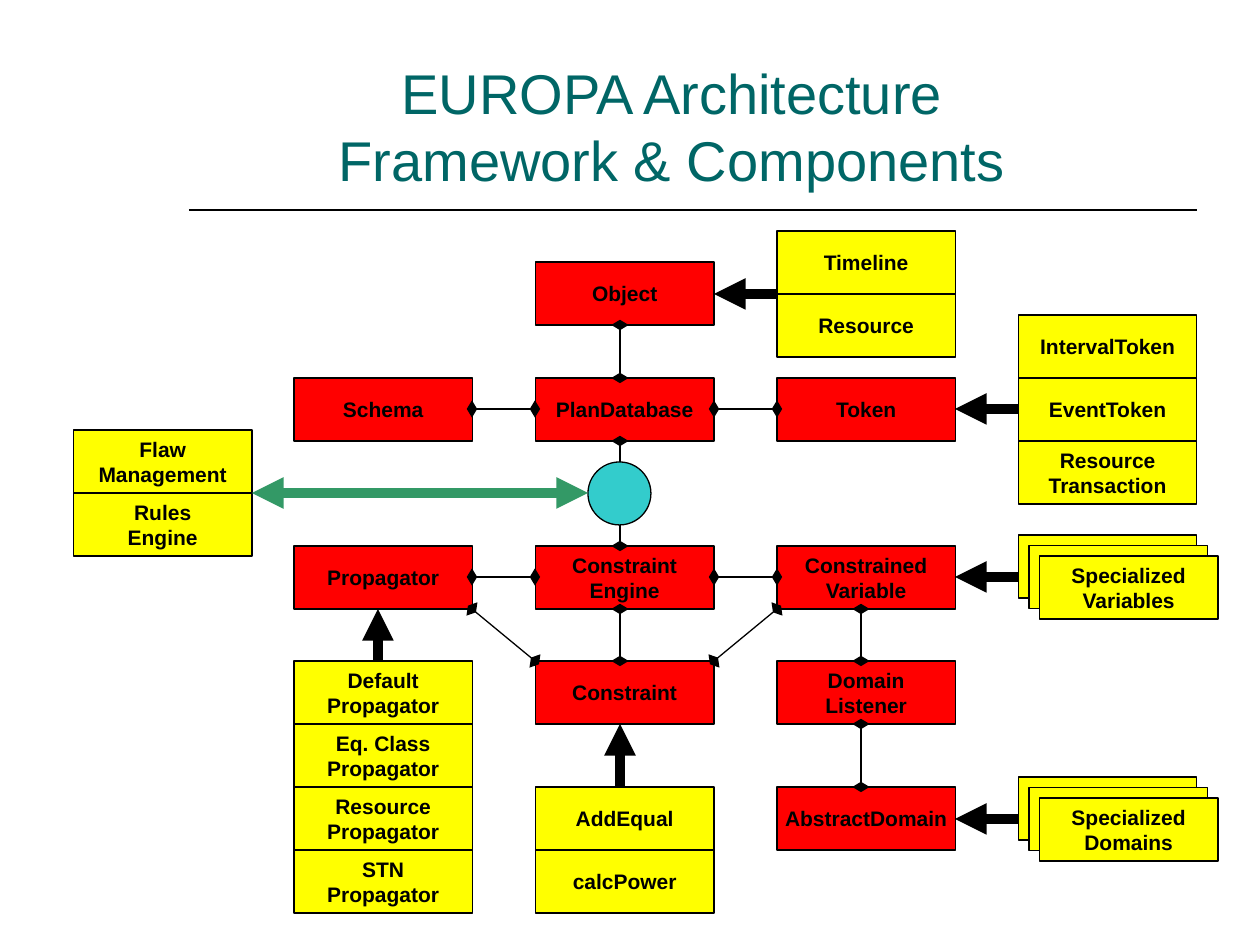
import pptx
import pptx.util
import pptx.dml.color
import pptx.enum.shapes
import pptx.enum.text
import pptx.oxml
import pptx.oxml.ns

PX = 914400 // 126
W, H = 178.5, 63
COLORS = {"title": "006666", "core": "FF0000", "component": "FFFF00",
          "hub": "33CCCC", "link": "339966", "ink": "000000"}
TITLE = "EUROPA Architecture\vFramework & Components"
COLS = [73.5, 294, 535.5, 777, 1018.5]

CORE = [(2, 262, "Object"), (1, 378, "Schema"), (2, 378, "PlanDatabase"),
        (3, 378, "Token"), (1, 546, "Propagator"), (2, 546, "Constraint\nEngine"),
        (3, 546, "Constrained\nVariable"), (2, 661, "Constraint"),
        (3, 661, "Domain\nListener"), (3, 787, "AbstractDomain")]
STACKS = [(0, 430, ["Flaw\nManagement", "Rules\nEngine"]),
          (3, 231, ["Timeline", "Resource"]),
          (4, 315, ["IntervalToken", "EventToken", "Resource\nTransaction"]),
          (1, 661, ["Default\nPropagator", "Eq. Class\nPropagator",
                    "Resource\nPropagator", "STN\nPropagator"]),
          (2, 787, ["AddEqual", "calcPower"])]
PILES = [(4, 535, "Specialized\nVariables"), (4, 777, "Specialized\nDomains")]
PILE_STEP = 10.5

INHERITS = [(714, 294, 777, 294), (955, 409, 1018, 409), (955, 577, 1018, 577),
            (955, 819, 1018, 819), (378, 609, 378, 661), (620, 724, 620, 787)]
RELATES = [(620, 325, 620, 378), (472, 409, 535, 409), (714, 409, 777, 409),
           (620, 441, 620, 546), (472, 577, 535, 577), (714, 577, 777, 577),
           (472, 609, 535, 661), (620, 609, 620, 661), (777, 609, 714, 661),
           (861, 609, 861, 661), (861, 724, 861, 787)]
RULE = (189, 210, 1197, 210)
HUB = (588, 462, 63, 63)
HUB_LINK = (588, 493, 252, 493)


def px(*values):
    return [round(v * PX) for v in values]


def rgb(name):
    return pptx.dml.color.RGBColor.from_string(COLORS[name])


def style_text(tf, text, size, color, bold):
    tf.text = text
    for p in tf.paragraphs:
        p.alignment = pptx.enum.text.PP_ALIGN.CENTER
        p.font.name = "Arial"
        p.font.size = pptx.util.Pt(size)
        p.font.bold = bold
        p.font.color.rgb = rgb(color)


def add_shape(kind, box, fill, text=""):
    sp = s.shapes.add_shape(kind, *px(*box))
    sp.shadow.inherit = False
    sp.fill.solid()
    sp.fill.fore_color.rgb = rgb(fill)
    sp.line.color.rgb = rgb("ink")
    sp.line.width = pptx.util.Pt(0.75)
    if text:
        tf = sp.text_frame
        tf.word_wrap = False
        tf.vertical_anchor = pptx.enum.text.MSO_ANCHOR.MIDDLE
        style_text(tf, text, 12, "ink", True)


def add_box(x, y, fill, text=""):
    add_shape(pptx.enum.shapes.MSO_SHAPE.RECTANGLE, (x, y, W, H), fill, text)


def add_line(points, width, color="ink", ends=(), kind="triangle", breadth="med"):
    line = s.shapes.add_connector(pptx.enum.shapes.MSO_CONNECTOR.STRAIGHT, *px(*points))
    line.line.color.rgb = rgb(color)
    line.line.width = pptx.util.Pt(width)
    ln = line.line._get_or_add_ln()
    for end in ends:
        mark = pptx.oxml.ns.qn(f"a:{end}End")
        ln.append(ln.makeelement(mark, {"type": kind, "w": breadth, "len": "med"}))
    sppr = line._element.spPr
    sppr.append(sppr.makeelement(pptx.oxml.ns.qn("a:effectLst"), {}))


prs = pptx.Presentation()
prs.slide_width, prs.slide_height = px(1260, 945)
s = prs.slides.add_slide(prs.slide_layouts[5])

title = s.shapes.title
title.left, title.top, title.width, title.height = px(147, 42, 1050, 157)
title.text_frame.auto_size = pptx.enum.text.MSO_AUTO_SIZE.NONE
title.text_frame.vertical_anchor = pptx.enum.text.MSO_ANCHOR.BOTTOM
style_text(title.text_frame, TITLE, 32, "title", False)
add_line(RULE, 1)

for col, y, text in CORE:
    add_box(COLS[col], y, "core", text)
for col, y, labels in STACKS:
    for i, text in enumerate(labels):
        add_box(COLS[col], y + i * H, "component", text)
for col, y, label in PILES:
    for i, text in enumerate(["", "", label]):
        add_box(COLS[col] + i * PILE_STEP, y + i * PILE_STEP, "component", text)

for points in INHERITS:
    add_line(points, 6, ends=["head"])
for points in RELATES:
    add_line(points, 0.75, ends=["head", "tail"], kind="diamond", breadth="lg")
add_shape(pptx.enum.shapes.MSO_SHAPE.OVAL, HUB, "hub")
add_line(HUB_LINK, 6, "link", ["head", "tail"])

prs.save("out.pptx")
